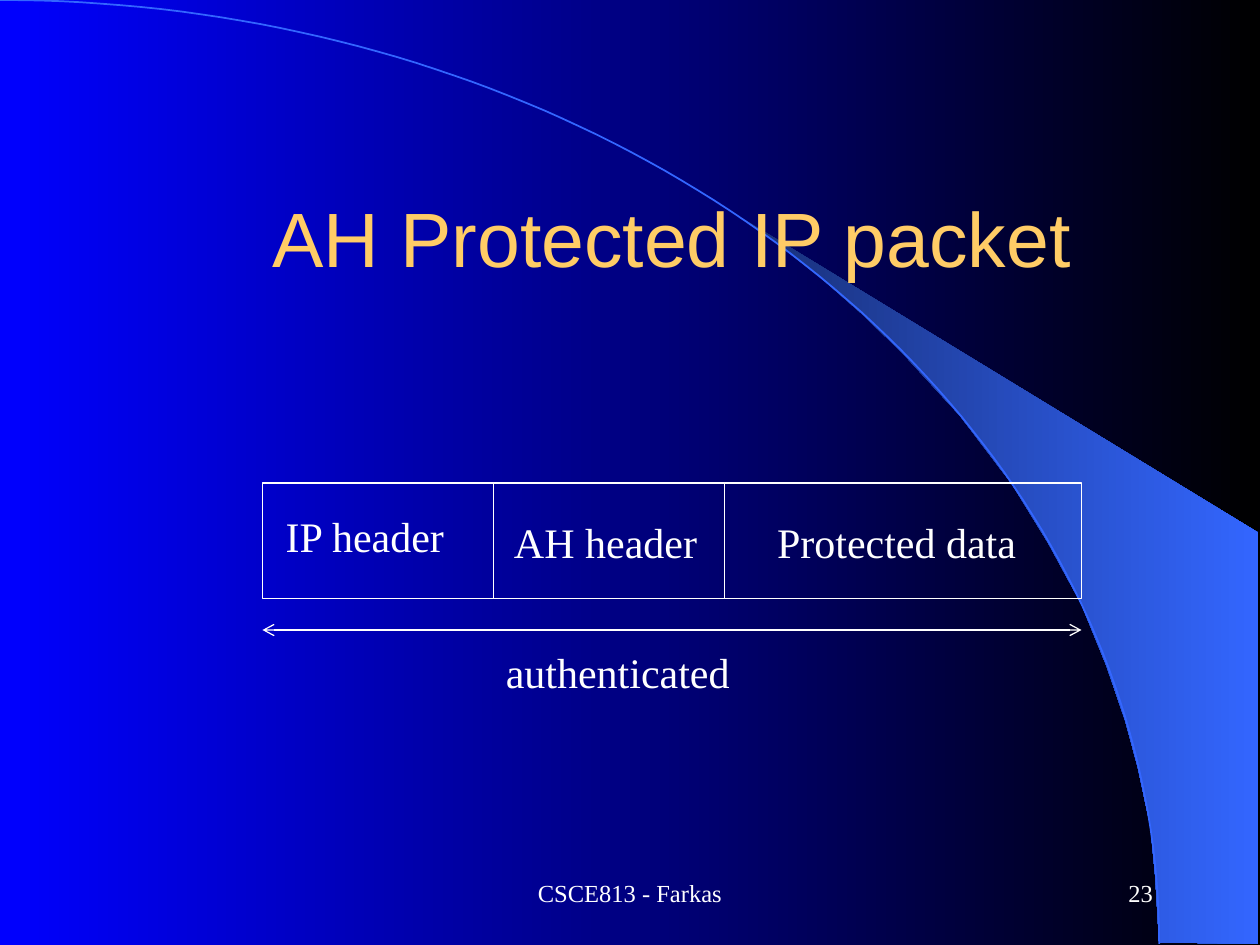
from dataclasses import dataclass
from math import cos, pi, sin

from lxml.etree import SubElement
from pptx import Presentation
from pptx.dml.color import RGBColor
from pptx.enum.shapes import MSO_CONNECTOR, MSO_SHAPE
from pptx.enum.text import MSO_ANCHOR as Anchor, MSO_AUTO_SIZE as AutoSize, PP_ALIGN as Align
from pptx.oxml.ns import qn
from pptx.util import Emu, Pt

SCALE = 1270
WIDTH, HEIGHT = 7200, 5400

WHITE = RGBColor(0xFF, 0xFF, 0xFF)
BLACK = RGBColor(0x00, 0x00, 0x00)
BLUE = RGBColor(0x00, 0x00, 0xFF)
NAVY = RGBColor(0x18, 0x2F, 0x76)
SKY = RGBColor(0x33, 0x66, 0xFF)
GOLD = RGBColor(0xFF, 0xCC, 0x66)

BAND = [
    (6624, 5386), (7193, 5393), (7193, 3046), (4241, 1246), (4493, 1433),
    (4702, 1598), (4932, 1800), (5155, 2016), (5486, 2376), (5782, 2765),
    (5990, 3103), (6178, 3449), (6322, 3802), (6430, 4118), (6502, 4385),
    (6574, 4723), (6602, 5011),
]
ARC_RX, ARC_RY, ARC_STEPS = 6624, 5393, 90
PACKET_LEFT, PACKET_TOP, PACKET_HEIGHT = 1500, 2760, 660
FIELD_WIDTHS = (1320, 1320, 2040)
ARROW_Y = 3600


@dataclass(frozen=True)
class Label:
    text: str
    left: int
    top: int
    width: int
    height: int = 360
    size: int = 24
    font: str = "Times New Roman"
    color: RGBColor = WHITE
    align: Align = Align.LEFT
    anchor: Anchor = Anchor.TOP


LABELS = [
    Label("CSCE813 - Farkas", 2460, 4920, 2280, size=14,
          align=Align.CENTER, anchor=Anchor.MIDDLE),
    Label("23", 5160, 4920, 1500, size=14,
          align=Align.RIGHT, anchor=Anchor.MIDDLE),
    Label("AH Protected IP packet", 780, 900, 6120, 900, 44, "Arial", GOLD,
          Align.CENTER, Anchor.MIDDLE),
    Label("Protected data", 4370, 2916, 1550),
    Label("AH header", 2866, 2916, 1230),
    Label("IP header", 1562, 2880, 1100),
    Label("authenticated", 2820, 3660, 1470),
]


def px(n: int) -> Emu:
    return Emu(n * SCALE)


def set_gradient(fill, start: RGBColor, end: RGBColor) -> None:
    fill.gradient()
    fill.gradient_angle = 0
    for stop, color, position in zip(fill.gradient_stops, (start, end), (0, 1)):
        stop.color.rgb = color
        stop.position = position


def set_line(line, color: RGBColor, width: float) -> None:
    line.color.rgb = color
    line.width = Pt(width)


def add_outline(slide, points: list[tuple[int, int]], close: bool):
    builder = slide.shapes.build_freeform(*points[0], scale=SCALE)
    builder.add_line_segments(points[1:], close=close)
    sp = builder.convert_to_shape()
    sp.shadow.inherit = False
    return sp


def add_backdrop(slide) -> None:
    set_gradient(slide.background.fill, BLUE, BLACK)
    band = add_outline(slide, BAND, True)
    set_gradient(band.fill, NAVY, SKY)
    band.line.fill.background()

    angles = [pi / 2 * i / ARC_STEPS for i in range(ARC_STEPS + 1)]
    points = [(round(ARC_RX * sin(a)), round(ARC_RY * (1 - cos(a)))) for a in angles]
    arc = add_outline(slide, points, False)
    arc.fill.background()
    set_line(arc.line, SKY, 1)


def add_field(slide, left: int, width: int) -> None:
    sp = slide.shapes.add_shape(
        MSO_SHAPE.RECTANGLE, px(left), px(PACKET_TOP), px(width), px(PACKET_HEIGHT))
    sp.shadow.inherit = False
    sp.fill.background()
    set_line(sp.line, WHITE, 0.75)


def add_label(slide, label: Label) -> None:
    box = slide.shapes.add_textbox(
        px(label.left), px(label.top), px(label.width), px(label.height))
    tf = box.text_frame
    tf.word_wrap = True
    tf.auto_size = AutoSize.NONE
    tf.vertical_anchor = label.anchor
    p = tf.paragraphs[0]
    p.alignment = label.align
    r = p.add_run()
    r.text = label.text
    r.font.name = label.font
    r.font.size = Pt(label.size)
    r.font.color.rgb = label.color


def add_double_arrow(slide, left: int, right: int, y: int) -> None:
    arrow = slide.shapes.add_connector(
        MSO_CONNECTOR.STRAIGHT, px(left), px(y), px(right), px(y))
    set_line(arrow.line, WHITE, 0.75)
    sp_pr = arrow._element.spPr
    ln = sp_pr.find(qn("a:ln"))
    for end in ("a:headEnd", "a:tailEnd"):
        SubElement(ln, qn(end), type="arrow")
    SubElement(sp_pr, qn("a:effectLst"))


def main() -> None:
    prs = Presentation()
    prs.slide_width, prs.slide_height = px(WIDTH), px(HEIGHT)
    slide = prs.slides.add_slide(prs.slide_layouts[6])
    add_backdrop(slide)
    left = PACKET_LEFT
    for width in FIELD_WIDTHS:
        add_field(slide, left, width)
        left += width
    for label in LABELS:
        add_label(slide, label)
    add_double_arrow(slide, PACKET_LEFT, left, ARROW_Y)
    prs.save("out.pptx")


if __name__ == "__main__":
    main()
